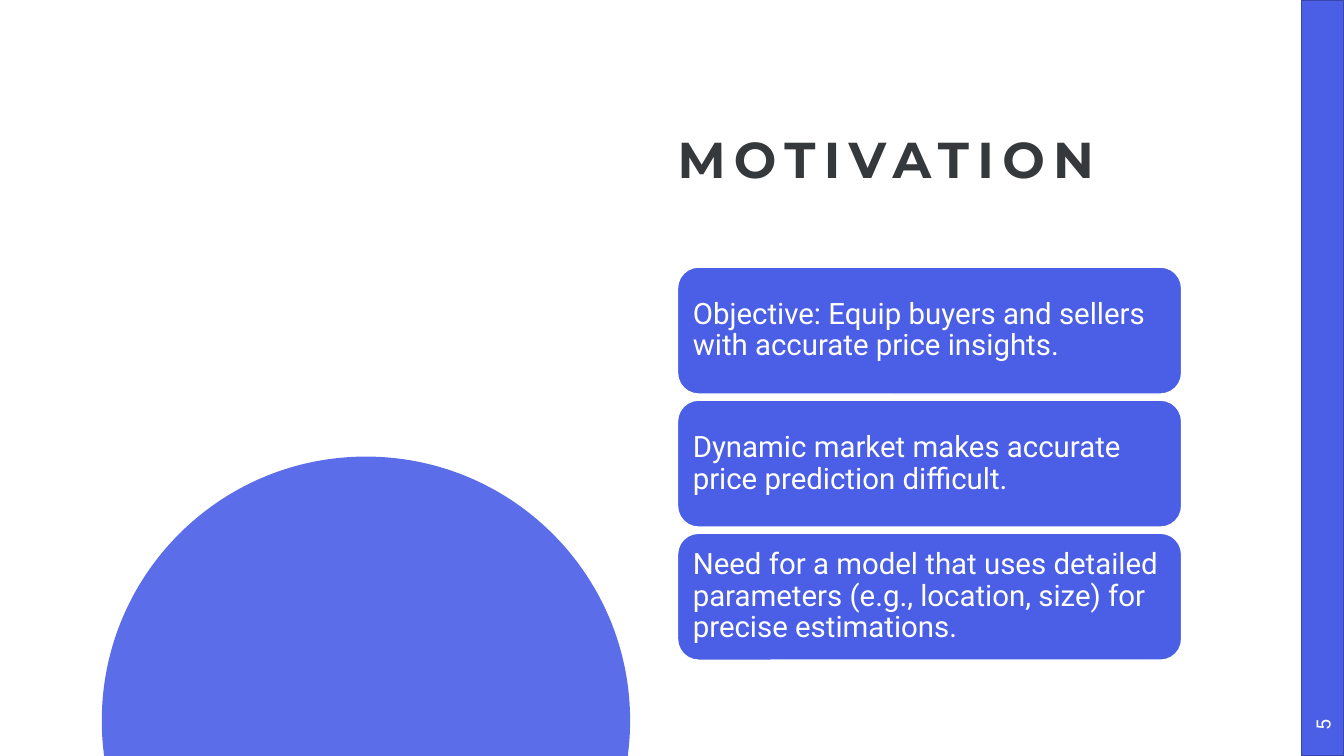
from math import asin, cos, pi, sin, tan

from lxml.etree import SubElement
from pptx import Presentation
from pptx.dml.color import RGBColor
from pptx.enum.shapes import MSO_SHAPE
from pptx.enum.text import MSO_ANCHOR, PP_ALIGN
from pptx.oxml.ns import qn
from pptx.util import Inches, Pt

# Content
TITLE = "MOTIVATION"
PAGE_NUMBER = "5"
CARDS = [
    "Objective: Equip buyers and sellers with accurate price insights.",
    "Dynamic market makes accurate price prediction difficult.",
    "Need for a model that uses detailed parameters (e.g., location, size) for precise estimations.",
]


class Theme:
    blue = RGBColor.from_string("4A5EE6")
    dark_blue = RGBColor.from_string("3746AA")
    dark = RGBColor.from_string("36393B")
    white = RGBColor.from_string("FFFFFF")
    heading_font, body_font = "Montserrat", "Roboto"
    title_size, card_size, number_size = Pt(36), Pt(21), Pt(14)
    title_tracking = 600


# Layout in inches
SLIDE_WIDTH, SLIDE_HEIGHT = 13.33, 7.5
COLUMN_LEFT = 6.72
CARD_TOP, CARD_WIDTH, CARD_HEIGHT, CARD_GAP = 2.65, 5, 1.26, 0.06
BAR_WIDTH = 0.42
CIRCLE_X, CIRCLE_Y, CIRCLE_RADIUS = 3.63, 7.15, 2.62


def style_shape(shape, fill, line=None):
    shape.shadow.inherit = False
    shape.fill.solid()
    shape.fill.fore_color.rgb = fill
    if line is None:
        shape.line.fill.background()
    else:
        shape.line.color.rgb = line
        shape.line.width = Pt(1)


def write_text(shape, text, font_name, size, color, anchor, inset,
               align=PP_ALIGN.LEFT, line_spacing=0.9):
    frame = shape.text_frame
    frame.text = text
    frame.word_wrap = True
    frame.vertical_anchor = anchor
    frame.margin_left = frame.margin_right = Inches(inset)
    frame.margin_top = frame.margin_bottom = Inches(inset)
    paragraph = frame.paragraphs[0]
    paragraph.alignment = align
    paragraph.line_spacing = line_spacing
    run = paragraph.runs[0]
    run.font.name = font_name
    run.font.size = size
    run.font.color.rgb = color
    return run


def add_bar(slide):
    bar = slide.shapes.add_shape(
        MSO_SHAPE.RECTANGLE, Inches(SLIDE_WIDTH - BAR_WIDTH), 0,
        Inches(BAR_WIDTH), Inches(SLIDE_HEIGHT))
    style_shape(bar, Theme.blue, Theme.dark_blue)


def circle_point(angle, tangent=0):
    """Point on the circle, moved along its tangent by a share of the radius."""
    return (Inches(CIRCLE_X + CIRCLE_RADIUS * (cos(angle) - tangent * sin(angle))),
            Inches(CIRCLE_Y - CIRCLE_RADIUS * (sin(angle) + tangent * cos(angle))))


def add_cut_circle(slide):
    # The arc runs over the top, between the two points on the slide's lower edge
    dip = asin((SLIDE_HEIGHT - CIRCLE_Y) / CIRCLE_RADIUS)
    angles = [-dip, 0, pi / 2, pi, pi + dip]
    points = [circle_point(angle) for angle in angles]
    builder = slide.shapes.build_freeform(*points[0])
    builder.add_line_segments(points[1:], close=True)
    circle = builder.convert_to_shape()
    style_shape(circle, Theme.blue)
    color = circle.fill._xPr.find(qn("a:solidFill"))[0]
    SubElement(color, qn("a:alpha"), val="90000")

    # Bend each straight segment into a Bezier arc
    segments = list(circle._element.iter(qn("a:lnTo")))
    for segment, start, end in zip(segments, angles, angles[1:]):
        handle = 4 / 3 * tan((end - start) / 4)
        segment.tag = qn("a:cubicBezTo")
        segment.remove(segment[0])
        for x, y in (circle_point(start, handle), circle_point(end, -handle), circle_point(end)):
            SubElement(segment, qn("a:pt"), x=str(x - circle.left), y=str(y - circle.top))


def add_title(slide):
    title = slide.shapes.add_textbox(
        Inches(COLUMN_LEFT), Inches(0.3), Inches(6.6), Inches(1.58))
    run = write_text(title, TITLE, Theme.heading_font, Theme.title_size,
                     Theme.dark, MSO_ANCHOR.BOTTOM, 0)
    run.font.bold = True
    run.font._element.set("spc", str(Theme.title_tracking))


def add_page_number(slide):
    number = slide.shapes.add_textbox(
        Inches(12.81), Inches(6.98), Inches(0.62), Inches(0.42))
    number.rotation = 270
    write_text(number, PAGE_NUMBER, Theme.body_font, Theme.number_size, Theme.white,
               MSO_ANCHOR.MIDDLE, 0.05, PP_ALIGN.CENTER, 1.0)


def add_cards(slide):
    for index, text in enumerate(CARDS):
        top = CARD_TOP + index * (CARD_HEIGHT + CARD_GAP)
        card = slide.shapes.add_shape(
            MSO_SHAPE.ROUNDED_RECTANGLE, Inches(COLUMN_LEFT), Inches(top),
            Inches(CARD_WIDTH), Inches(CARD_HEIGHT))
        style_shape(card, Theme.blue, Theme.white)
        write_text(card, text, Theme.body_font, Theme.card_size, Theme.white,
                   MSO_ANCHOR.MIDDLE, 0.09)


def main():
    presentation = Presentation()
    presentation.slide_width = Inches(SLIDE_WIDTH)
    presentation.slide_height = Inches(SLIDE_HEIGHT)
    slide = presentation.slides.add_slide(presentation.slide_layouts[6])
    add_bar(slide)
    add_cut_circle(slide)
    add_title(slide)
    add_page_number(slide)
    add_cards(slide)
    presentation.save("out.pptx")


if __name__ == "__main__":
    main()
